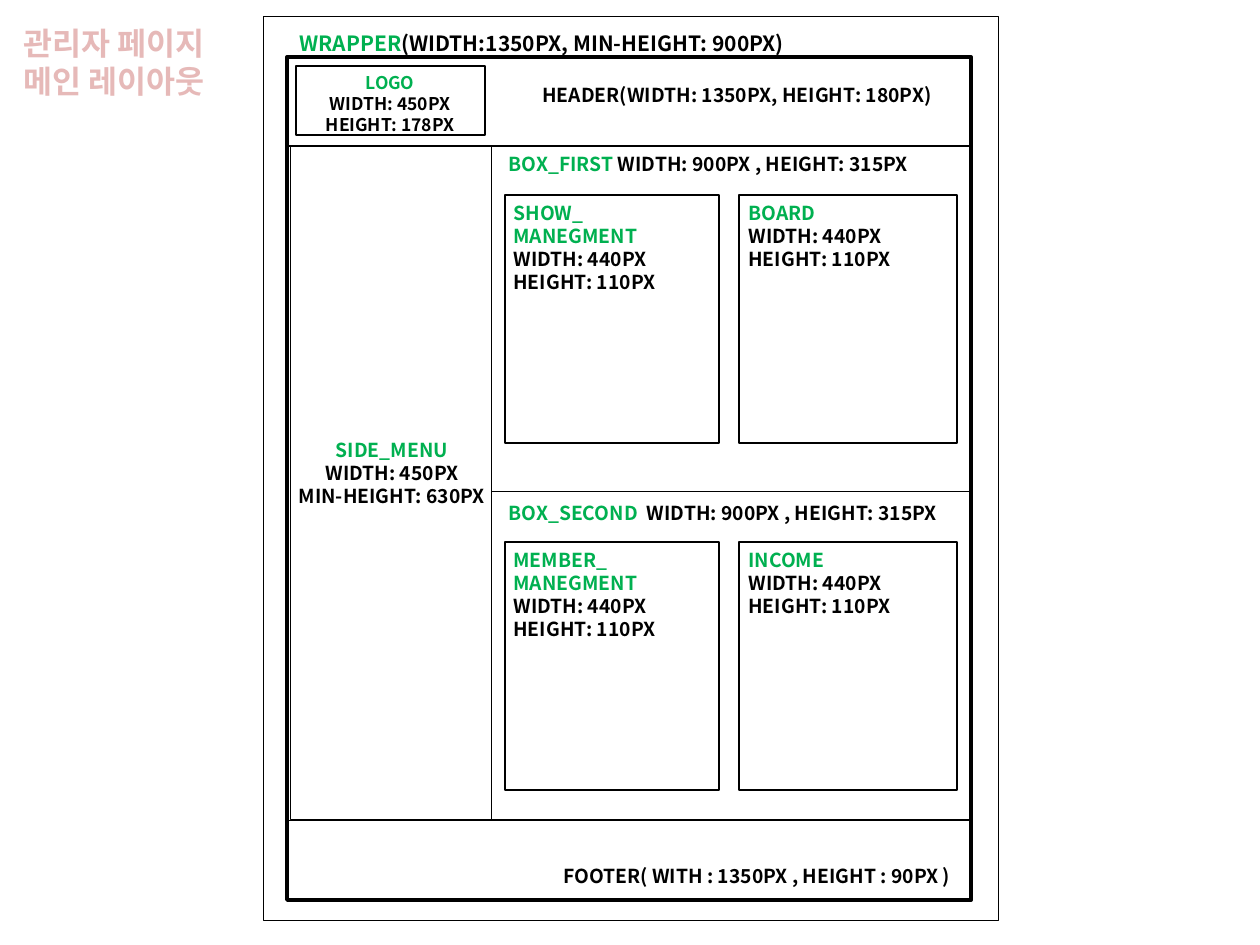
from lxml.etree import SubElement
from pptx import Presentation
from pptx.dml.color import RGBColor
from pptx.enum.shapes import MSO_SHAPE
from pptx.enum.text import MSO_ANCHOR, MSO_AUTO_SIZE, PP_ALIGN
from pptx.oxml.ns import qn
from pptx.util import Emu, Pt

SCALE = 914400 / 126
FONT = "Noto Sans CJK KR"
BLACK = RGBColor(0x00, 0x00, 0x00)
GREEN = RGBColor(0x00, 0xB0, 0x50)
PINK = RGBColor(0xE6, 0xB9, 0xB8)


def emu(pixels):
    return Emu(round(pixels * SCALE))


def within(box, left, top, width, height):
    return box[0] + left, box[1] + top, width, height


def set_values(target, values):
    for name, value in values.items():
        setattr(target, name, value)


def add_outline(slide, box, weight):
    shape = slide.shapes.add_shape(MSO_SHAPE.RECTANGLE, *map(emu, box))
    shape.shadow.inherit = False
    shape.fill.background()
    shape.line.color.rgb = BLACK
    shape.line.width = Pt(weight)


def write_text(shape, lines, size, align, wrap):
    frame = shape.text_frame
    set_values(frame, {
        "word_wrap": wrap,
        "auto_size": MSO_AUTO_SIZE.SHAPE_TO_FIT_TEXT,
        "vertical_anchor": MSO_ANCHOR.TOP,
    })
    for index, line in enumerate(lines):
        paragraph = frame.add_paragraph() if index else frame.paragraphs[0]
        paragraph.alignment = align
        for text, color in line:
            run = paragraph.add_run()
            run.text = text
            set_values(run.font, {"name": FONT, "size": Pt(size), "bold": True})
            run.font.color.rgb = color
            SubElement(run.font._element, qn("a:ea"), typeface=FONT)


def add_text(slide, box, lines, size=11, align=PP_ALIGN.LEFT, wrap=True):
    shape = slide.shapes.add_textbox(*map(emu, box))
    write_text(shape, lines, size, align, wrap)


def label(names, *measures):
    return [[(name, GREEN)] for name in names] + [[(text, BLACK)] for text in measures]


def place_title(slide, box):
    title = slide.shapes.title
    left, top, width, height = map(emu, box)
    set_values(title, {"left": left, "top": top, "width": width, "height": height})
    lines = [[("관리자 페이지", PINK)], [("메인 레이아웃", PINK)]]
    write_text(title, lines, 18, PP_ALIGN.LEFT, False)


def draw_wrapper(slide, box):
    add_outline(slide, within(box, -24, -41, 735, 904), 0.25)
    add_outline(slide, box, 2.25)
    line = [("WRAPPER", GREEN), ("(WIDTH:1350PX, MIN-HEIGHT: 900PX)", BLACK)]
    add_text(slide, within(box, 0, -33, 586, 62), [line], 12)


def draw_header(slide, box):
    add_outline(slide, box, 1)
    add_outline(slide, within(box, 9, 9, 189, 69), 1)
    add_text(slide, within(box, 25, 9, 156, 98),
             label(["LOGO"], "WIDTH: 450PX", "HEIGHT: 178PX"), 10, PP_ALIGN.CENTER)
    add_text(slide, within(box, 243, 20, 418, 59),
             label([], "HEADER(WIDTH: 1350PX, HEIGHT: 180PX)"), wrap=False)


def draw_side_menu(slide, box):
    add_outline(slide, box, 0.25)
    add_text(slide, within(box, -7, 287, 218, 82),
             label(["SIDE_MENU"], "WIDTH: 450PX", "MIN-HEIGHT: 630PX"),
             align=PP_ALIGN.CENTER, wrap=False)


def draw_content_box(slide, box, heading, heading_box, cards):
    add_outline(slide, box, 0.5)
    line = [(heading, GREEN), ("WIDTH: 900PX , HEIGHT: 315PX", BLACK)]
    add_text(slide, within(box, *heading_box), [line], align=PP_ALIGN.CENTER)
    for names, (left, width), text_left in zip(cards, ((14, 214), (248, 218)), (10, 245)):
        add_outline(slide, within(box, left, 50, width, 248), 0.75)
        add_text(slide, within(box, text_left, 50, 222, 106),
                 label(names, "WIDTH: 440PX", "HEIGHT: 110PX"))


def draw_footer(slide, box):
    add_outline(slide, box, 0.5)
    add_text(slide, within(box, 264, 38, 425, 37),
             label([], "FOOTER( WITH : 1350PX , HEIGHT : 90PX )"), wrap=False)


presentation = Presentation()
presentation.slide_width = emu(1260)
presentation.slide_height = emu(945)
slide = presentation.slides.add_slide(presentation.slide_layouts[5])

place_title(slide, (11, 18, 242, 88))
draw_wrapper(slide, (287, 57, 684, 843))
draw_header(slide, (287, 57, 684, 89))
draw_side_menu(slide, (290, 145, 201, 674))
draw_content_box(slide, (491, 145, 481, 347), "BOX_FIRST ", (0, 1, 435, 37),
                 (["SHOW_", "MANEGMENT"], ["BOARD"]))
draw_content_box(slide, (491, 492, 481, 328), "BOX_SECOND  ", (-3, 3, 470, 37),
                 (["MEMBER_", "MANEGMENT"], ["INCOME"]))
draw_footer(slide, (287, 820, 684, 79))

presentation.save("out.pptx")
